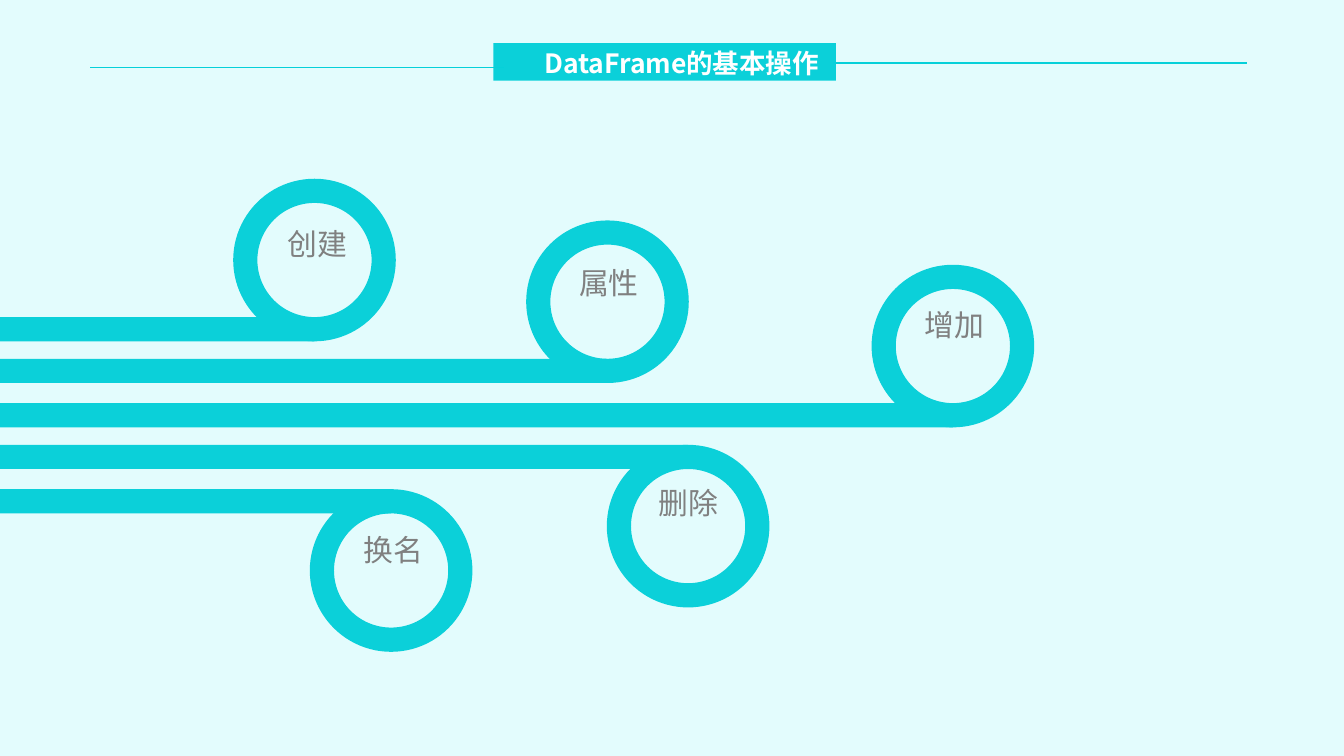
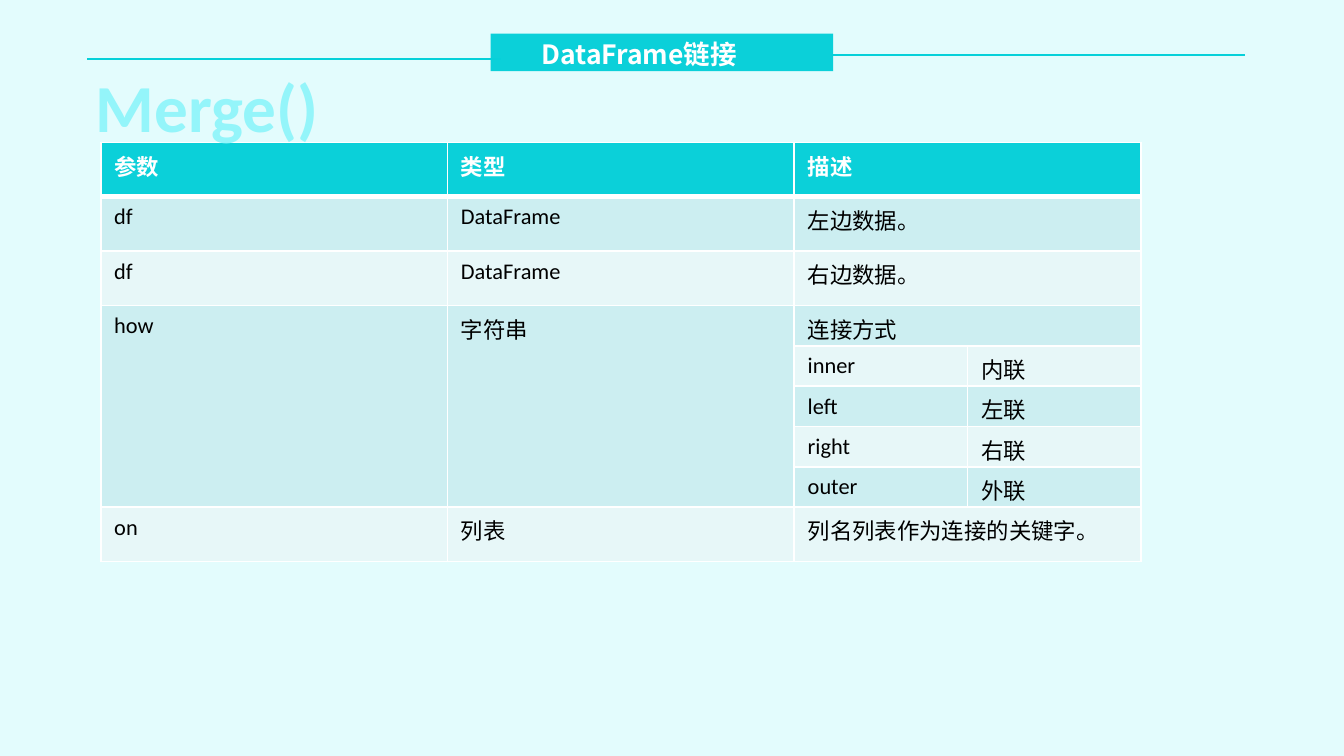
from lxml import etree
from pptx import Presentation
from pptx.dml.color import RGBColor
from pptx.enum import shapes, text
from pptx.oxml.ns import qn
from pptx.util import Inches, Pt

AQUA = RGBColor(0x0B, 0xD0, 0xD9)
RULE = RGBColor(0x06, 0xD0, 0xD9)
PALE = RGBColor(0x94, 0xF5, 0xFA)
BACK = RGBColor(0xE3, 0xFC, 0xFD)
GREY = RGBColor(0x80, 0x80, 0x80)
WHITE = RGBColor(0xFF, 0xFF, 0xFF)
BLACK = RGBColor(0, 0, 0)
BANDS = [RGBColor(0xE7, 0xF7, 0xF8), RGBColor(0xCC, 0xEE, 0xF1)]
HAN = "Noto Sans CJK SC"
LATIN = "Calibri"


def write(frame, words, size, color, face=HAN, bold=False):
    run = frame.paragraphs[0].add_run()
    run.text = words
    font = run.font
    font.size, font.bold, font.name = Pt(size), bold, face
    font.color.rgb = color
    props = run._r.get_or_add_rPr()
    etree.SubElement(props, qn("a:ea"), typeface=HAN)
    return props


def draw(slide, kind, x, y, w, h):
    shape = slide.shapes.add_shape(kind, Inches(x), Inches(y), Inches(w), Inches(h))
    shape.shadow.inherit = False
    shape.fill.solid()
    shape.fill.fore_color.rgb = AQUA
    shape.line.fill.background()
    return shape


deck = Presentation()
deck.slide_width = Inches(10)
deck.slide_height = deck.slide_width * 9 // 16

# Shared header: words, shift right, shift down, rule shift, title width
heads = [
    ("DataFrame的基本操作", 0, 0, 0, 2.33),
    ("DataFrame链接", -0.02, -0.07, -0.06, 1.86),
]
for words, dx, dy, slip, wide in heads:
    slide = deck.slides.add_slide(deck.slide_layouts[5])
    slide.background.fill.solid()
    slide.background.fill.fore_color.rgb = BACK
    draw(slide, shapes.MSO_SHAPE.RECTANGLE, 3.67 + dx, 0.32 + dy, 2.55, 0.28)

    title = slide.shapes.title
    title.left, title.top = Inches(3.95 + dx), Inches(0.3 + dy)
    title.width, title.height = Inches(wide), Inches(0.34)
    frame = title.text_frame
    frame.word_wrap = True
    frame.auto_size = text.MSO_AUTO_SIZE.NONE
    frame.vertical_anchor = text.MSO_ANCHOR.TOP
    frame.paragraphs[0].alignment = text.PP_ALIGN.LEFT
    write(frame, words, 14.2, WHITE, bold=True)
    slide.shapes.element.append(title.element)  # above the band

    for x, y in [(0.67, 0.5), (6.2, 0.47)]:
        rule = slide.shapes.add_connector(
            shapes.MSO_CONNECTOR.STRAIGHT, Inches(x + dx), Inches(y + slip),
            Inches(x + dx + 3.08), Inches(y + slip))
        rule.line.color.rgb = RULE
        rule.line.width = Pt(0.75)
        etree.SubElement(rule.element.spPr, qn("a:effectLst"))

# Slide 1: bars that curl into rings
first, second = deck.slides
RING, THICK = 1.21, 0.18
# words, ring centre, bar top, ring above the bar, label left and top
curls = [
    ("创建", 2.34, 2.36, True, 2.04, 1.63),
    ("属性", 4.52, 2.67, True, 4.21, 1.92),
    ("增加", 7.09, 3, True, 6.78, 2.23),
    ("删除", 5.12, 3.31, False, 4.8, 3.56),
    ("换名", 2.91, 3.64, False, 2.61, 3.91),
]
for words, mid, top, above, x, y in curls:
    draw(first, shapes.MSO_SHAPE.RECTANGLE, 0, top, mid, THICK)
    high = top + THICK - RING if above else top
    ring = draw(first, shapes.MSO_SHAPE.DONUT, mid - RING / 2, high, RING, RING)
    ring.adjustments[0] = THICK / RING
    label = first.shapes.add_textbox(Inches(x), Inches(y), Inches(0.65), Inches(0.37))
    label.text_frame.word_wrap = False
    label.text_frame.auto_size = text.MSO_AUTO_SIZE.SHAPE_TO_FIT_TEXT
    write(label.text_frame, words, 16, GREY)

# Slide 2: parameter table
rows = [
    ("参数", "类型", "描述", ""),
    ("df", "DataFrame", "左边数据。", ""),
    ("df", "DataFrame", "右边数据。", ""),
    ("how", "字符串", "连接方式", ""),
    ("", "", "inner", "内联"),
    ("", "", "left", "左联"),
    ("", "", "right", "右联"),
    ("", "", "outer", "外联"),
    ("on", "列表", "列名列表作为连接的关键字。", ""),
]
TALL, LOW = 3.12, 0.3
grid = second.shapes.add_table(
    len(rows), 4, Inches(0.75), Inches(1.06), Inches(7.75), Inches(TALL)).table
for col, wide in zip(grid.columns, [2.58, 2.58, 1.29, 1.29]):
    col.width = Inches(wide)
for r, row in enumerate(rows):
    grid.rows[r].height = Inches(LOW if 3 <= r <= 7 else (TALL - 5 * LOW) / 4)
    for c, words in enumerate(row):
        cell = grid.cell(r, c)
        cell.margin_left = cell.margin_right = Inches(0.1)
        cell.margin_top, cell.margin_bottom = Inches(0.05), 0
        props = cell._tc.get_or_add_tcPr()
        for side in "LRTB":
            heavy = (r, side) in [(0, "B"), (1, "T")]
            edge = etree.SubElement(props, qn("a:ln" + side), w=str(Pt(3 if heavy else 1)))
            paint = etree.SubElement(edge, qn("a:solidFill"))
            etree.SubElement(paint, qn("a:srgbClr"), val=str(WHITE))
        cell.fill.solid()
        cell.fill.fore_color.rgb = BANDS[r % 2] if r else AQUA
        if words:
            write(cell.text_frame, words, 12, BLACK if r else WHITE, LATIN, r == 0)
    if not 4 <= r <= 7:
        grid.cell(r, 2).merge(grid.cell(r, 3))
for c in range(2):
    grid.cell(3, c).merge(grid.cell(7, c))

# Slide 2: outlined function name
name = second.shapes.add_textbox(Inches(0.6), Inches(0.44), Inches(1.88), Inches(0.71))
name.text_frame.word_wrap = False
name.text_frame.auto_size = text.MSO_AUTO_SIZE.SHAPE_TO_FIT_TEXT
name.text_frame.paragraphs[0].alignment = text.PP_ALIGN.CENTER
props = write(name.text_frame, "Merge()", 36, PALE, LATIN, True)
edge = etree.Element(qn("a:ln"), w=str(Pt(1.75)))
paint = etree.SubElement(edge, qn("a:solidFill"))
etree.SubElement(paint, qn("a:srgbClr"), val=str(AQUA))
props.insert(0, edge)

deck.save("out.pptx")
